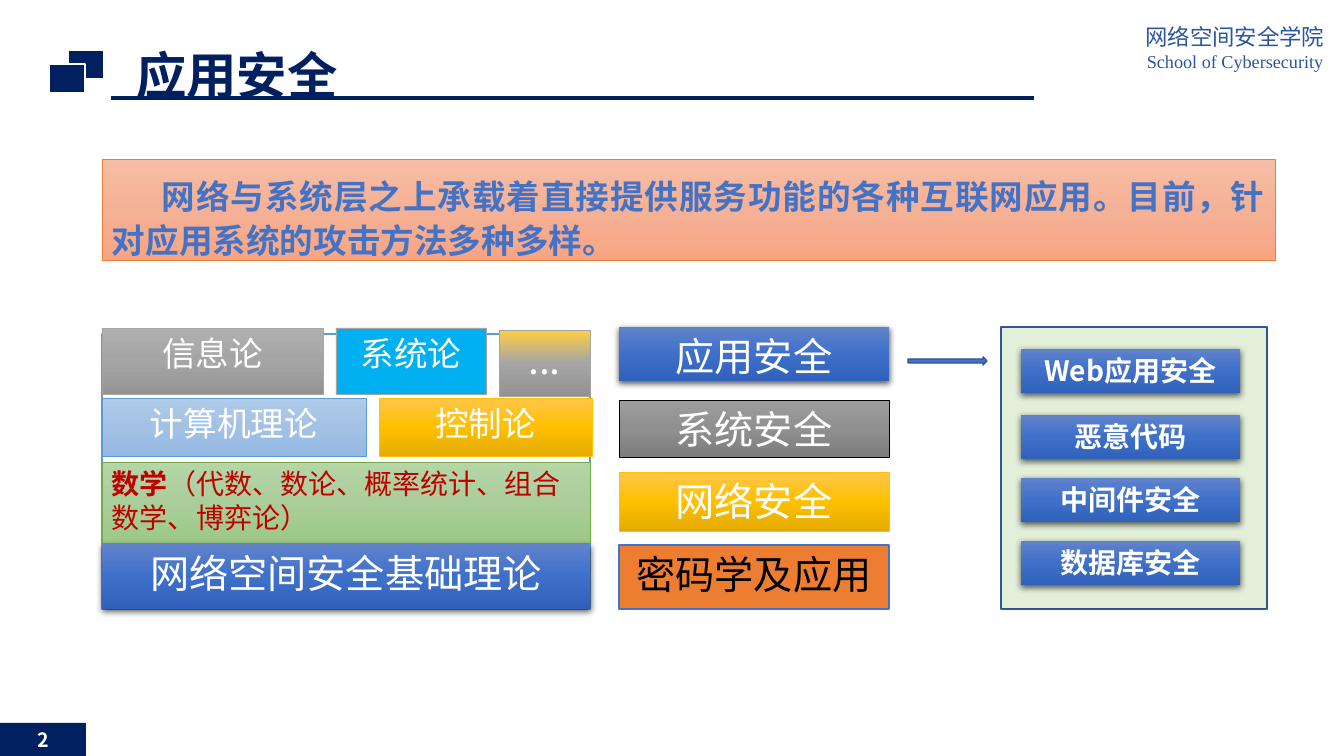
import pptx
import pptx.dml.color
import pptx.enum.shapes
import pptx.enum.text
import pptx.oxml
import pptx.oxml.ns
import pptx.util

PX = 9144000 / 1008
FONT, SERIF = "Noto Sans CJK SC", "Times New Roman"
SHAPE = pptx.enum.shapes.MSO_SHAPE
ALIGN = pptx.enum.text.PP_ALIGN
COLORS = {"navy": "012060", "school": "2C55A0", "white": "FFFFFF", "black": "000000",
          "blue": "4472C4", "edge": "325491", "sky": "5B9BD5", "cyan": "00B0F0",
          "orange": "ED7D31", "gold": "FFC000", "gray": "A5A5A5", "green": "70AD47",
          "mint": "E2F0D9", "red": "C00000"}
GRADIENTS = {"blue_fade": ("6183CB", "3E70CA", "3062BB"),
             "gold_fade": ("FFC64B", "FFC000", "E3AB00"),
             "dark_fade": ("9D9D9D", "909090", "7C7C7C"),
             "gray_fade": ("AFAFAF", "A5A5A5", "939393"),
             "sky_fade": ("B1CBE9", "A3C1E5", "93B9E4"),
             "green_fade": ("B5D5A7", "AACE9A", "9CC987"),
             "mixed_fade": ("FECF40", "A5A5A5", "939393"),
             "peach_fade": ("F7BDA5", "F5B196", "F8A582")}

# Content
TITLE = "应用安全"
SCHOOL = [("网络空间安全学院", 16), ("School of Cybersecurity", 13)]
SUMMARY = "网络与系统层之上承载着直接提供服务功能的各种互联网应用。目前，针对应用系统的攻击方法多种多样。"
MATH = ["数学", "（代数、数论、概率统计、组合数学、博弈论）"]
PAGE = "2"

# Theory blocks: text, box, fill, line, size
THEORIES = [
    ("网络空间安全基础理论", (102, 544, 488, 65), "blue_fade", None, 28),
    ("计算机理论", (102, 398, 264, 58), "sky_fade", "sky", 24),
    ("控制论", (379, 398, 213, 58), "gold_fade", "gold", 24),
    ("信息论", (102, 328, 221, 66), "gray_fade", "gray", 24),
    ("系统论", (336, 328, 150, 66), "cyan", "gray", 24),
    ("...", (499, 330, 91, 66), "mixed_fade", "gray", 28)]
# Security layers: text, top, height, fill, line, line width, text colour
LAYERS = [
    ("应用安全", 327, 54, "blue_fade", None, 0, "white"),
    ("系统安全", 400, 57, "dark_fade", "black", 0.5, "white"),
    ("网络安全", 472, 59, "gold_fade", "gold", 0.5, "white"),
    ("密码学及应用", 545, 64, "orange", "blue", 1, "black")]
TOPICS = [("Web应用安全", 349), ("恶意代码", 415), ("中间件安全", 478), ("数据库安全", 541)]


def px(n):
    return round(n * PX)


def rgb(name):
    return pptx.dml.color.RGBColor.from_string(COLORS[name])


def xml(body):
    head, rest = body.split(">", 1)
    return pptx.oxml.parse_xml(f"{head} {pptx.oxml.ns.nsdecls('a')}>{rest}")


def paint(sp, fill, line, width):
    sp.shadow.inherit = False
    if line:
        sp.line.color.rgb = rgb(line)
        sp.line.width = pptx.util.Pt(width)
    else:
        sp.line.fill.background()
    if fill in GRADIENTS:
        stops = "".join(f'<a:gs pos="{i * 50000}"><a:srgbClr val="{c}"/></a:gs>'
                        for i, c in enumerate(GRADIENTS[fill]))
        sp.fill.background()
        old = sp._element.spPr.find(pptx.oxml.ns.qn("a:noFill"))
        old.getparent().replace(old, xml(
            f'<a:gradFill rotWithShape="1"><a:gsLst>{stops}</a:gsLst>'
            '<a:lin ang="5400000" scaled="0"/></a:gradFill>'))
    else:
        sp.fill.solid()
        sp.fill.fore_color.rgb = rgb(fill)
    if fill == "blue_fade":
        effects = sp._element.spPr.find(pptx.oxml.ns.qn("a:effectLst"))
        effects.append(xml('<a:outerShdw blurRad="57150" dist="19050" dir="5400000" algn="ctr" '
                           'rotWithShape="0"><a:srgbClr val="000000"><a:alpha val="63000"/>'
                           '</a:srgbClr></a:outerShdw>'))


def add_box(parent, box, fill, line=None, width=0.5, kind=SHAPE.RECTANGLE):
    sp = parent.add_shape(kind, *map(px, box))
    paint(sp, fill, line, width)
    return sp


def frame(sp):
    tf = sp.text_frame
    for key, value in {"word_wrap": True, "auto_size": pptx.enum.text.MSO_AUTO_SIZE.NONE,
                       "vertical_anchor": pptx.enum.text.MSO_ANCHOR.TOP}.items():
        setattr(tf, key, value)
    return tf


def add_run(p, text, size, color, bold=False, font=FONT, align=ALIGN.CENTER):
    p.alignment = align
    r = p.add_run()
    r.text = text
    for key, value in {"size": pptx.util.Pt(size), "bold": bold, "name": font}.items():
        setattr(r.font, key, value)
    r.font.color.rgb = rgb(color)
    r.font._element.append(xml(f'<a:ea typeface="{FONT}"></a:ea>'))


def write(sp, text, size, color="white", **fmt):
    add_run(frame(sp).paragraphs[0], text, size, color, **fmt)


prs = pptx.Presentation()
prs.slide_width, prs.slide_height = px(1344), px(756)
s = prs.slides.add_slide(prs.slide_layouts[5])
shapes = s.shapes

# Header: rule, emblem squares, school name, title
rule = shapes.add_connector(pptx.enum.shapes.MSO_CONNECTOR.STRAIGHT,
                            px(111), px(98), px(1034), px(98))
rule.line.color.rgb = rgb("navy")
rule.line.width = pptx.util.Pt(2.25)
rule._element.spPr.append(xml("<a:effectLst></a:effectLst>"))
squares = shapes.add_group_shape().shapes
for x, y in [(68, 50), (49, 64)]:
    add_box(squares, (x, y, 36, 29), "navy", "white", 1.5)

school = frame(shapes.add_textbox(*map(px, (1126, 18, 218, 62))))
for i, (text, size) in enumerate(SCHOOL):
    p = school.add_paragraph() if i else school.paragraphs[0]
    add_run(p, text, size, "school", font=SERIF)

title = shapes.title
for key, value in zip(("left", "top", "width", "height"), (126, 39, 923, 59)):
    setattr(title, key, px(value))
write(title, TITLE, 36, "navy", bold=True, align=ALIGN.LEFT)

# Summary banner
banner = add_box(shapes, (102, 159, 1173, 101), "peach_fade", "orange")
write(banner, SUMMARY, 24, "blue", bold=True, align=ALIGN.JUSTIFY)
banner.text_frame.margin_top = px(12)
p = banner.text_frame.paragraphs[0]
p.line_spacing = pptx.util.Pt(32)
p._p.get_or_add_pPr().set("indent", str(px(50)))

# Theory stack and security layers
stack = shapes.add_group_shape().shapes
add_box(stack, (102, 334, 488, 275), "white", "sky", 1)
math_box = add_box(stack, (102, 462, 488, 81), "green_fade", "green")
for i, text in enumerate(MATH):
    add_run(frame(math_box).paragraphs[0], text, 20, "red", bold=i == 0, align=ALIGN.LEFT)
for text, box, fill, line, size in THEORIES:
    write(add_box(stack, box, fill, line), text, size)
for text, y, h, fill, line, width, color in LAYERS:
    write(add_box(stack, (619, y, 270, h), fill, line, width), text, 28, color)

# Application topics
add_box(shapes, (908, 357, 79, 8), "blue", "edge", 1, SHAPE.RIGHT_ARROW)
add_box(shapes, (1001, 327, 266, 282), "mint", "edge", 1)
for text, y in TOPICS:
    write(add_box(shapes, (1021, y, 219, 44), "blue_fade"), text, 20, bold=True)

# Page number
write(add_box(shapes, (0, 723, 86, 33), "navy"), PAGE, 14, bold=True)

prs.save("out.pptx")
